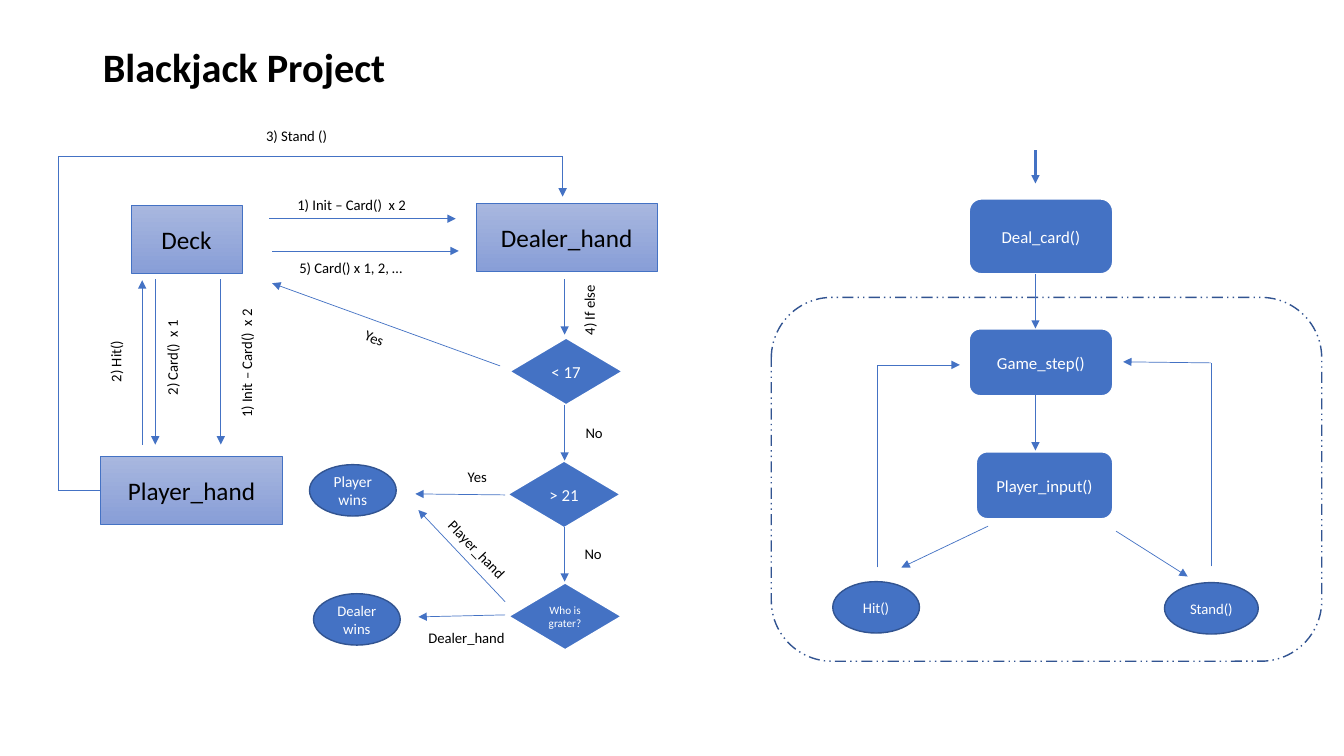
from itertools import pairwise

from lxml import etree
from pptx import Presentation
from pptx.dml.color import RGBColor
from pptx.enum.dml import MSO_LINE
from pptx.enum.shapes import MSO_CONNECTOR, MSO_SHAPE
from pptx.enum.text import MSO_ANCHOR, MSO_AUTO_SIZE, PP_ALIGN
from pptx.oxml.ns import qn
from pptx.util import Inches, Pt

BLUE, NAVY, WHITE, BLACK = "4472C4", "325491", "FFFFFF", "000000"
GRADIENT = ("A8B7DF", "889ED7")


def color(value):
    return RGBColor.from_string(value)


class Diagram:
    font = "Calibri"

    def __init__(self, slide):
        self.slide = slide

    def set_text(self, frame, text, size, ink, align=PP_ALIGN.LEFT, bold=False):
        frame.text = text
        paragraph = frame.paragraphs[0]
        paragraph.alignment = align
        font = paragraph.runs[0].font
        font.name, font.size, font.bold = self.font, Pt(size), bold
        font.color.rgb = color(ink)

    def title(self, text, left, top, width, height):
        title = self.slide.shapes.title
        title.left, title.top = Inches(left), Inches(top)
        title.width, title.height = Inches(width), Inches(height)
        title.text_frame.vertical_anchor = MSO_ANCHOR.MIDDLE
        self.set_text(title.text_frame, text, 28.8, BLACK, bold=True)
        title.text_frame.paragraphs[0].line_spacing = 0.9

    def shape(self, kind, left, top, width, height, outline, weight):
        shape = self.slide.shapes.add_shape(
            kind, Inches(left), Inches(top), Inches(width), Inches(height))
        shape.shadow.inherit = False
        shape.line.color.rgb = color(outline)
        shape.line.width = Pt(weight)
        return shape

    def node(self, kind, text, left, top, width, height, size=12, outline=WHITE, weight=1.5):
        node = self.shape(kind, left, top, width, height, outline, weight)
        node.fill.solid()
        node.fill.fore_color.rgb = color(BLUE)
        node.text_frame.vertical_anchor = MSO_ANCHOR.MIDDLE
        self.set_text(node.text_frame, text, size, WHITE, PP_ALIGN.CENTER)

    def entity(self, text, left, top, width):
        box = self.shape(MSO_SHAPE.RECTANGLE, left, top, width, 0.67, BLUE, 0.5)
        box.fill.gradient()
        box.fill.gradient_angle = 270
        for stop, shade in zip(box.fill.gradient_stops, GRADIENT):
            stop.color.rgb = color(shade)
        box.text_frame.vertical_anchor = MSO_ANCHOR.MIDDLE
        self.set_text(box.text_frame, text, 18, BLACK, PP_ALIGN.CENTER)

    def decision(self, text, left, top, size=12):
        self.node(MSO_SHAPE.DIAMOND, text, left, top, 1.13, 0.67, size)

    def outcome(self, text, left, top, width=0.86, size=10.5):
        self.node(MSO_SHAPE.OVAL, text, left, top, width, 0.51, size, NAVY, 1)

    def frame(self, left, top, width, height):
        frame = self.shape(MSO_SHAPE.ROUNDED_RECTANGLE, left, top, width, height, NAVY, 1)
        frame.fill.background()
        frame.line.dash_style = MSO_LINE.DASH_DOT_DOT

    def label(self, text, left, top, width, rotation=0):
        box = self.slide.shapes.add_textbox(
            Inches(left), Inches(top), Inches(width), Inches(0.28))
        box.rotation = rotation
        box.text_frame.word_wrap = False
        box.text_frame.auto_size = MSO_AUTO_SIZE.SHAPE_TO_FIT_TEXT
        self.set_text(box.text_frame, text, 10.5, BLACK)

    def line(self, start, end, arrow, weight):
        ends = [Inches(value) for value in (*start, *end)]
        line = self.slide.shapes.add_connector(MSO_CONNECTOR.STRAIGHT, *ends)
        line.line.color.rgb = color(BLUE)
        line.line.width = Pt(weight)
        properties = line.element.spPr
        if arrow:
            etree.SubElement(properties.find(qn("a:ln")), qn("a:tailEnd"), type="triangle")
        etree.SubElement(properties, qn("a:effectLst"))

    def arrow(self, *points, weight=0.5):
        for start, end in pairwise(points):
            self.line(start, end, end == points[-1], weight)


presentation = Presentation()
presentation.slide_width, presentation.slide_height = Inches(13.33), Inches(7.5)
diagram = Diagram(presentation.slides.add_slide(presentation.slide_layouts[5]))
diagram.title("Blackjack Project", 0.92, 0.4, 11.5, 0.57)

for entity in (("Deck", 1.3, 2.04, 1.1), ("Dealer_hand", 4.72, 2.02, 1.8),
               ("Player_hand", 1, 4.53, 1.8)):
    diagram.entity(*entity)

for decision in (("< 17", 5.05, 3.35), ("> 21", 5.03, 4.57),
                 ("Who is grater?", 5.04, 5.78, 8)):
    diagram.decision(*decision)

for outcome in (("Player wins", 3.07, 4.61, 0.86, 11), ("Dealer wins", 3.11, 5.89),
                ("Hit()", 8.26, 5.77), ("Stand()", 11.55, 5.78, 0.93)):
    diagram.outcome(*outcome)

for step in ((MSO_SHAPE.FLOWCHART_ALTERNATE_PROCESS, "Deal_card()", 9.61, 1.97, 1.43, 0.75),
             (MSO_SHAPE.ROUNDED_RECTANGLE, "Game_step()", 9.61, 3.26, 1.43, 0.67),
             (MSO_SHAPE.ROUNDED_RECTANGLE, "Player_input()", 9.68, 4.48, 1.36, 0.67)):
    diagram.node(*step)

diagram.frame(7.65, 2.95, 5.46, 3.61)

deck_arrows = (
    ((1.54, 2.77), (1.54, 4.41)),
    ((2.19, 2.77), (2.19, 4.41)),
    ((1.41, 4.41), (1.41, 2.78)),
    ((2.67, 2.17), (4.52, 2.17)),
    ((2.7, 2.49), (4.55, 2.49)),
    ((1, 4.86), (0.58, 4.86), (0.58, 1.55), (5.58, 1.55), (5.58, 1.95)),
)
dealer_arrows = (
    ((5.6, 2.77), (5.6, 3.32)),
    ((5.6, 4.02), (5.6, 4.57)),
    ((5.6, 5.23), (5.6, 5.77)),
    ((4.96, 3.63), (2.7, 2.81)),
    ((5.01, 4.91), (4.12, 4.9)),
    ((5.01, 6.1), (4.15, 6.12)),
    ((5.01, 5.97), (4.15, 5.06)),
)
game_arrows = (
    ((10.27, 2.72), (10.27, 3.26)),
    ((10.27, 3.92), (10.27, 4.47)),
    ((9.8, 5.22), (8.94, 5.63)),
    ((11.07, 5.27), (11.78, 5.72)),
    ((8.7, 5.63), (8.7, 3.62), (9.52, 3.62)),
    ((12.01, 5.62), (12.01, 3.6), (11.14, 3.59)),
)
for path in deck_arrows + dealer_arrows + game_arrows:
    diagram.arrow(*path)
diagram.arrow((10.27, 1.49), (10.27, 1.82), weight=1.5)

for label in (
    ("1) Init – Card()  x 2", 1.8, 3.46, 1.29, 270),
    ("1) Init – Card()  x 2", 2.85, 1.89, 1.29),
    ("2) Hit()", 0.84, 3.44, 0.62, 270),
    ("2) Card()  x 1", 1.23, 3.4, 0.96, 270),
    ("3) Stand ()", 2.54, 1.21, 0.82),
    ("4) If else", 5.49, 2.93, 0.71, 270),
    ("5) Card() x 1, 2, …", 2.87, 2.52, 1.25),
    ("Yes", 3.52, 3.22, 0.41, 21.4),
    ("Yes", 4.54, 4.59, 0.41),
    ("No", 5.71, 4.16, 0.37),
    ("No", 5.7, 5.36, 0.37),
    ("Dealer_hand", 4.15, 6.19, 0.97),
    ("Player_hand", 4.26, 5.32, 0.95, 45.9),
):
    diagram.label(*label)

presentation.save("out.pptx")
